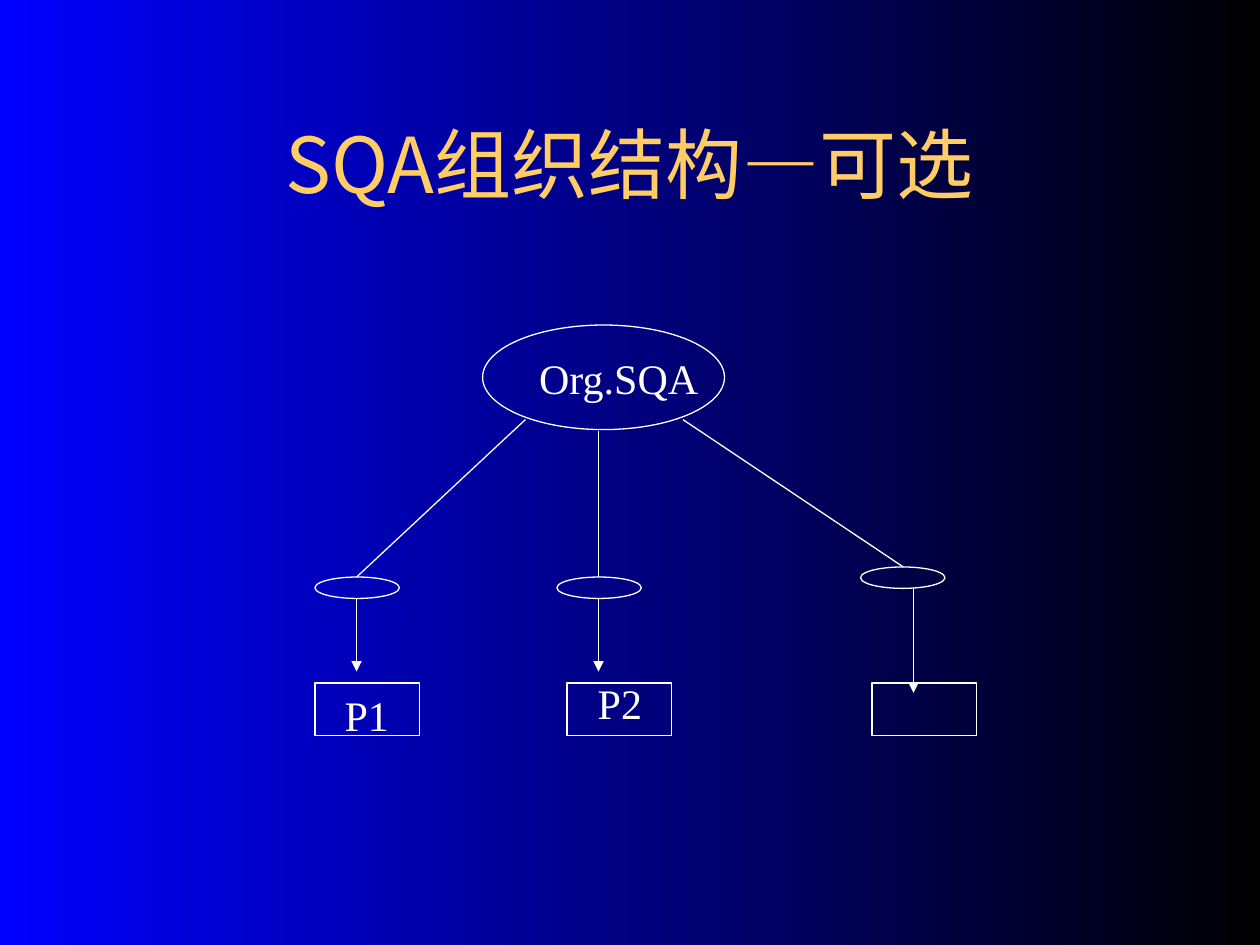
from dataclasses import dataclass

from lxml.etree import SubElement
from pptx import Presentation
from pptx.dml.color import RGBColor as Rgb
from pptx.enum.shapes import MSO_CONNECTOR as Connector, MSO_SHAPE as Preset
from pptx.enum.text import MSO_ANCHOR as Anchor, MSO_AUTO_SIZE as AutoSize, PP_ALIGN as Align
from pptx.oxml.ns import qn
from pptx.slide import Slide
from pptx.util import Inches, Pt


@dataclass(frozen=True)
class Theme:
    white: Rgb = Rgb(0xFF, 0xFF, 0xFF)
    gold: Rgb = Rgb(0xFF, 0xCC, 0x66)
    blue: Rgb = Rgb(0x00, 0x00, 0xFF)
    black: Rgb = Rgb(0x00, 0x00, 0x00)
    title_font: str = "Noto Sans CJK SC"
    label_font: str = "Times New Roman"
    title_size: int = 44
    label_size: int = 24
    label_space: int = 15
    line_width: float = 0.75


@dataclass(frozen=True)
class Box:
    left: float
    top: float
    width: float
    height: float

    def lengths(self) -> list[Inches]:
        return [Inches(v) for v in (self.left, self.top, self.width, self.height)]


@dataclass(frozen=True)
class Line:
    start: tuple[float, float]
    end: tuple[float, float]
    arrow: bool = False


@dataclass(frozen=True)
class Label:
    text: str
    box: Box


THEME = Theme()
TITLE = Label("SQA组织结构—可选", Box(0.75, 0.67, 8.5, 1.25))
ORGANISATION = Box(3.83, 2.58, 1.92, 0.83)
GROUPS = [Box(left, top, 0.67, 0.17) for left, top in ((2.5, 4.58), (4.42, 4.58), (6.83, 4.5))]
PROJECTS = [Box(left, 5.42, 0.83, 0.42) for left in (2.5, 4.5, 6.92)]
BRANCHES = [
    Line((4.17, 3.33), (2.83, 4.58)),
    Line((4.75, 3.42), (4.75, 4.58)),
    Line((5.42, 3.33), (7.17, 4.5)),
]
ASSIGNMENTS = [
    Line((x, top), (x, bottom), arrow=True)
    for x, top, bottom in ((2.83, 4.75, 5.33), (4.75, 4.75, 5.33), (7.25, 4.67, 5.5))
]
LABELS = [
    Label("Org.SQA", Box(3.67, 2.75, 2.48, 0.5)),
    Label("P1", Box(2.42, 5.42, 0.98, 0.5)),
    Label("P2", Box(4.42, 5.33, 1, 0.5)),
]


def apply_format(target: object, values: dict[str, object]) -> None:
    for name, value in values.items():
        setattr(target, name, value)


def paint_background(slide: Slide) -> None:
    fill = slide.background.fill
    fill.gradient()
    fill.gradient_angle = 180
    for stop, position, color in zip(fill.gradient_stops, (0, 1), (THEME.black, THEME.blue)):
        stop.position = position
        stop.color.rgb = color


def set_title(slide: Slide, label: Label) -> None:
    title = slide.shapes.title
    apply_format(title, dict(zip(("left", "top", "width", "height"), label.box.lengths())))
    title.text_frame.vertical_anchor = Anchor.MIDDLE
    paragraph = title.text_frame.paragraphs[0]
    paragraph.alignment = Align.CENTER
    run = paragraph.add_run()
    run.text = label.text
    apply_format(run.font, {"name": THEME.title_font, "size": Pt(THEME.title_size)})
    run.font.color.rgb = THEME.gold
    SubElement(run.font._element, qn("a:ea"), typeface=THEME.title_font)


def add_outline(slide: Slide, preset: Preset, box: Box) -> None:
    shape = slide.shapes.add_shape(preset, *box.lengths())
    shape.shadow.inherit = False
    shape.fill.background()
    shape.line.color.rgb = THEME.white
    shape.line.width = Pt(THEME.line_width)


def add_line(slide: Slide, line: Line) -> None:
    ends = [Inches(v) for v in (*line.start, *line.end)]
    connector = slide.shapes.add_connector(Connector.STRAIGHT, *ends)
    connector.line.color.rgb = THEME.white
    connector.line.width = Pt(THEME.line_width)
    if line.arrow:
        SubElement(connector.line._get_or_add_ln(), qn("a:tailEnd"), type="triangle")
    SubElement(connector._element.spPr, qn("a:effectLst"))


def add_label(slide: Slide, label: Label) -> None:
    frame = slide.shapes.add_textbox(*label.box.lengths()).text_frame
    apply_format(frame, {"word_wrap": True, "auto_size": AutoSize.SHAPE_TO_FIT_TEXT})
    paragraph = frame.paragraphs[0]
    apply_format(paragraph, {"alignment": Align.CENTER, "space_before": Pt(THEME.label_space)})
    run = paragraph.add_run()
    run.text = label.text
    apply_format(run.font, {"name": THEME.label_font, "size": Pt(THEME.label_size)})
    run.font.color.rgb = THEME.white


def main() -> None:
    deck = Presentation()
    apply_format(deck, {"slide_width": Inches(10), "slide_height": Inches(7.5)})
    slide = deck.slides.add_slide(deck.slide_layouts[5])
    paint_background(slide)
    set_title(slide, TITLE)
    add_outline(slide, Preset.OVAL, ORGANISATION)
    for branch in BRANCHES:
        add_line(slide, branch)
    for group in GROUPS:
        add_outline(slide, Preset.OVAL, group)
    for project in PROJECTS:
        add_outline(slide, Preset.RECTANGLE, project)
    for assignment in ASSIGNMENTS:
        add_line(slide, assignment)
    for label in LABELS:
        add_label(slide, label)
    deck.save("out.pptx")


if __name__ == "__main__":
    main()
